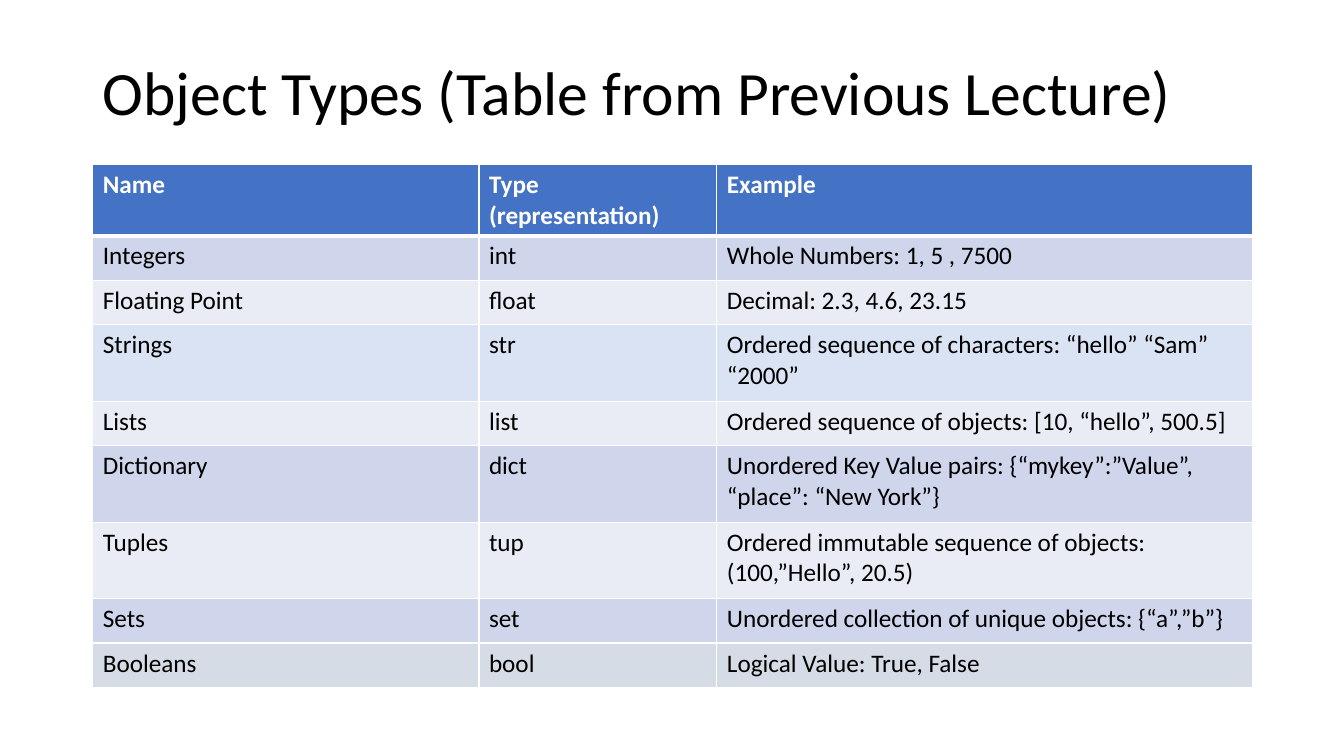
import dataclasses

import lxml.etree
import pptx
import pptx.dml.color
import pptx.enum.text
import pptx.oxml.ns
import pptx.table
import pptx.util

Inches = pptx.util.Inches
Pt = pptx.util.Pt
RGBColor = pptx.dml.color.RGBColor

FONT = "Calibri"
BLACK = RGBColor(0x00, 0x00, 0x00)
WHITE = RGBColor(0xFF, 0xFF, 0xFF)
BLUE = RGBColor(0x44, 0x72, 0xC4)
DARK_BAND = RGBColor(0xCF, 0xD5, 0xEA)
LIGHT_BAND = RGBColor(0xE9, 0xEB, 0xF5)
SKY = RGBColor(0xDA, 0xE3, 0xF3)
GREY = RGBColor(0xD6, 0xDC, 0xE5)

LEFT, WIDTH = Inches(0.92), Inches(11.5)
TABLE_HEIGHT = Inches(5.16)
COLUMN_WIDTHS = (3.83, 2.36, 5.31)
SINGLE, DOUBLE = 0.44, 0.76
THIN, THICK = Pt(1), Pt(3)


@dataclasses.dataclass(frozen=True)
class TypeRow:
    name: str
    type_name: str
    example: str
    fill: RGBColor
    height: float = SINGLE


ROWS = (
    TypeRow("Name", "Type (representation)", "Example", BLUE),
    TypeRow("Integers", "int", "Whole Numbers: 1, 5 , 7500", DARK_BAND),
    TypeRow("Floating Point", "float", "Decimal: 2.3, 4.6, 23.15", LIGHT_BAND),
    TypeRow("Strings", "str", "Ordered sequence of characters: “hello” “Sam” “2000”", SKY, DOUBLE),
    TypeRow("Lists", "list", "Ordered sequence of objects: [10, “hello”, 500.5]", LIGHT_BAND),
    TypeRow("Dictionary", "dict", "Unordered Key Value pairs: {“mykey”:”Value”, “place”: “New York”}",
            DARK_BAND, DOUBLE),
    TypeRow("Tuples", "tup", "Ordered immutable sequence of objects: (100,”Hello”, 20.5)",
            LIGHT_BAND, DOUBLE),
    TypeRow("Sets", "set", "Unordered collection of unique objects: {“a”,”b”}", DARK_BAND),
    TypeRow("Booleans", "bool", "Logical Value: True, False", GREY),
)


def set_borders(cell: pptx.table._Cell, top: int, bottom: int) -> None:
    qn = pptx.oxml.ns.qn
    properties = cell._tc.get_or_add_tcPr()
    sides = {"a:lnL": THIN, "a:lnR": THIN, "a:lnT": top, "a:lnB": bottom}
    for position, (side, width) in enumerate(sides.items()):
        line = lxml.etree.Element(qn(side), w=str(int(width)))
        fill = lxml.etree.SubElement(line, qn("a:solidFill"))
        lxml.etree.SubElement(fill, qn("a:srgbClr"), val=str(WHITE))
        properties.insert(position, line)


def fill_cell(cell: pptx.table._Cell, text: str, fill: RGBColor, is_header: bool) -> None:
    cell.text = text
    cell.fill.solid()
    cell.fill.fore_color.rgb = fill
    font = cell.text_frame.paragraphs[0].font
    font.name, font.size, font.bold = FONT, Pt(18), is_header
    font.color.rgb = WHITE if is_header else BLACK


def add_title(page: pptx.slide.Slide, text: str) -> None:
    title = page.shapes.title
    title.left, title.top, title.width, title.height = LEFT, Inches(0.4), WIDTH, Inches(1.09)
    title.text_frame.text = text
    title.text_frame.word_wrap = True
    title.text_frame.vertical_anchor = pptx.enum.text.MSO_ANCHOR.MIDDLE
    para = title.text_frame.paragraphs[0]
    para.alignment = pptx.enum.text.PP_ALIGN.LEFT
    para.line_spacing = 0.9
    para.font.name, para.font.size = FONT, Pt(44)
    para.font.color.rgb = BLACK


def add_type_table(page: pptx.slide.Slide) -> None:
    frame = page.shapes.add_table(
        len(ROWS), len(COLUMN_WIDTHS), LEFT, Inches(1.63), WIDTH, TABLE_HEIGHT)
    table = frame.table
    for column, width in zip(table.columns, COLUMN_WIDTHS):
        column.width = Inches(width)
    for index, row in enumerate(ROWS):
        table.rows[index].height = Inches(row.height)
        top = THICK if index == 1 else THIN
        bottom = THICK if index == 0 else THIN
        for column, text in enumerate((row.name, row.type_name, row.example)):
            cell = table.cell(index, column)
            fill_cell(cell, text, row.fill, index == 0)
            set_borders(cell, top, bottom)
    frame.height = TABLE_HEIGHT


def main() -> None:
    deck = pptx.Presentation()
    deck.slide_width, deck.slide_height = Inches(13.33), Inches(7.5)
    page = deck.slides.add_slide(deck.slide_layouts[5])
    add_title(page, "Object Types (Table from Previous Lecture)")
    add_type_table(page)
    deck.save("out.pptx")


if __name__ == "__main__":
    main()
